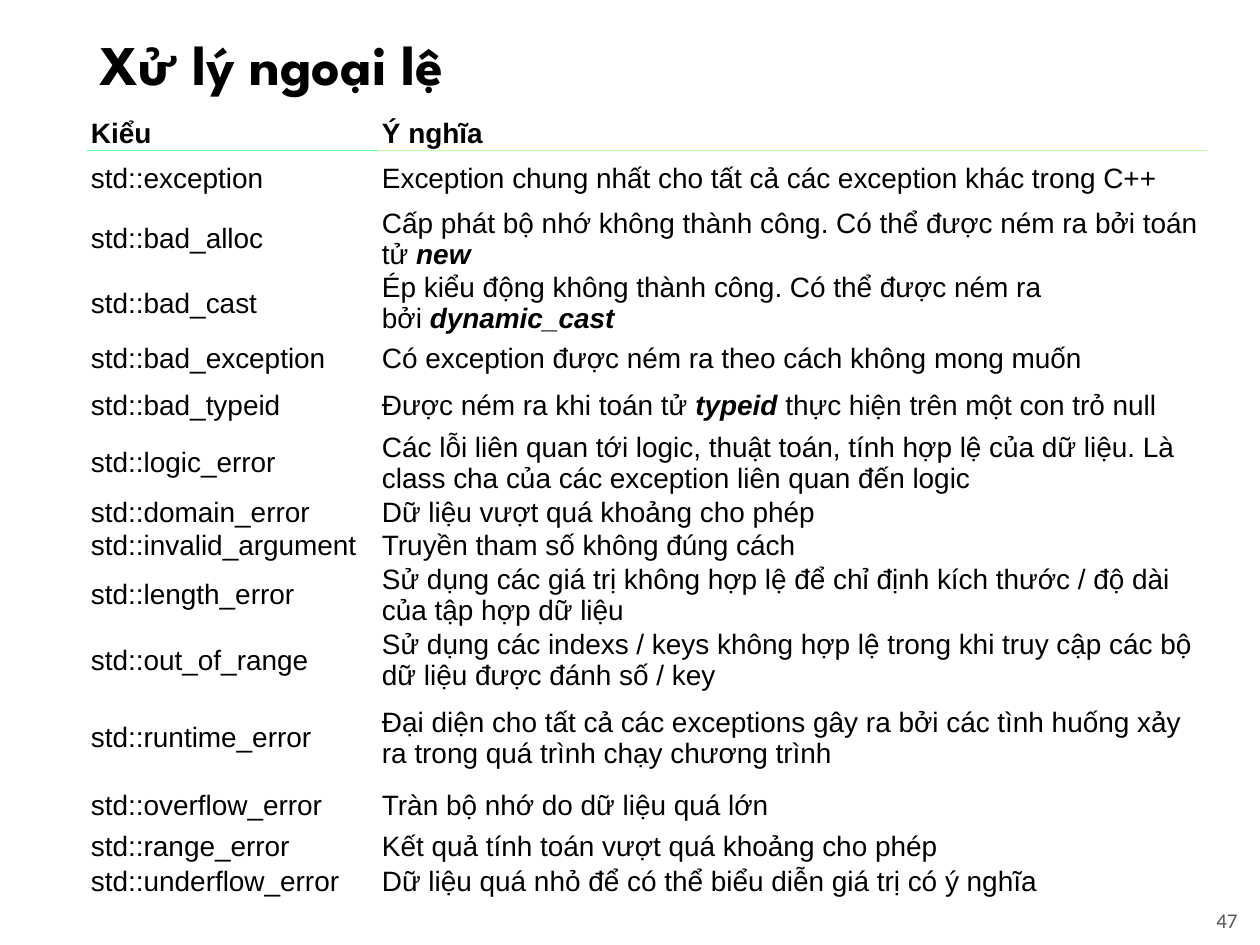
from lxml.etree import SubElement
from pptx import Presentation
from pptx.dml.color import RGBColor
from pptx.enum.text import MSO_ANCHOR, MSO_AUTO_SIZE, PP_ALIGN
from pptx.oxml.ns import qn
from pptx.util import Emu, Pt

# Content: a tuple holds text before, emphasised term, text after
TITLE = "Xử lý ngoại lệ"
PAGE = "47"
HEADER = ("Kiểu", "Ý nghĩa")
EXCEPTIONS = [
    ("std::exception", "Exception chung nhất cho tất cả các exception khác trong C++"),
    ("std::bad_alloc",
     ("Cấp phát bộ nhớ không thành công. Có thể được ném ra bởi toán tử", "new", "")),
    ("std::bad_cast",
     ("Ép kiểu động không thành công. Có thể được ném ra bởi", "dynamic_cast", "")),
    ("std::bad_exception", "Có exception được ném ra theo cách không mong muốn"),
    ("std::bad_typeid",
     ("Được ném ra khi toán tử", "typeid", "thực hiện trên một con trỏ null")),
    ("std::logic_error",
     "Các lỗi liên quan tới logic, thuật toán, tính hợp lệ của dữ liệu. "
     "Là class cha của các exception liên quan đến logic"),
    ("std::domain_error", "Dữ liệu vượt quá khoảng cho phép"),
    ("std::invalid_argument", "Truyền tham số không đúng cách"),
    ("std::length_error",
     "Sử dụng các giá trị không hợp lệ để chỉ định kích thước / độ dài của tập hợp dữ liệu"),
    ("std::out_of_range",
     "Sử dụng các indexs / keys không hợp lệ trong khi truy cập các bộ dữ liệu "
     "được đánh số / key"),
    ("std::runtime_error",
     "Đại diện cho tất cả các exceptions gây ra bởi các tình huống xảy ra "
     "trong quá trình chạy chương trình"),
    ("std::overflow_error", "Tràn bộ nhớ do dữ liệu quá lớn"),
    ("std::range_error", "Kết quả tính toán vượt quá khoảng cho phép"),
    ("std::underflow_error", "Dữ liệu quá nhỏ để có thể biểu diễn giá trị có ý nghĩa"),
]

THEME = {
    "title": ("League Spartan", 32, "000000"),
    "table": ("Arial", 16, "000000"),
    "page": ("Calibri", 12, "595959"),
    "cell": "FFFFFF",
    "rules": ("60FF9E", "C0FF9E"),
}

# Layout in px, 126 to the inch
PX = 914400 // 126
SLIDE = (1260, 945)
TITLE_BOX = (87, 16, 1086, 102)
TABLE_AT = (87, 117)
COLS = (291, 829)
ROWS = (25, 57, 47, 47, 47, 47, 67, 25, 25, 57, 67, 88, 47, 35, 35)
PAGE_BOX = (1092, 895, 158, 50)
NBSP = chr(160)  # keeps an emphasised term on the line of the word before it


def px(*values):
    return [Emu(v * PX) for v in values]


def style(p, role, bold=False):
    name, size, color = THEME[role]
    p.font.name, p.font.size, p.font.bold = name, Pt(size), bold
    p.font.color.rgb = RGBColor.from_string(color)


def set_borders(cell, top=None, bottom=None):
    tcPr = cell._tc.get_or_add_tcPr()
    for side, color in (("L", None), ("R", None), ("T", top), ("B", bottom)):
        ln = SubElement(tcPr, qn("a:ln" + side), w=str(Pt(0.75)))
        if color:
            SubElement(SubElement(ln, qn("a:solidFill")), qn("a:srgbClr"), val=color)
        else:
            SubElement(ln, qn("a:noFill"))


def write_cell(cell, content, bold):
    cell.vertical_anchor = MSO_ANCHOR.MIDDLE
    cell.margin_left, cell.margin_right, cell.margin_top, cell.margin_bottom = px(4, 4, 1, 1)
    cell.fill.solid()
    cell.fill.fore_color.rgb = RGBColor.from_string(THEME["cell"])
    p = cell.text_frame.paragraphs[0]
    style(p, "table", bold)
    if isinstance(content, str):
        p.add_run().text = content
        return
    before, term, after = content
    p.add_run().text = before + NBSP
    r = p.add_run()
    r.text = term + (NBSP if after else "")
    r.font.bold = r.font.italic = True
    if after:
        p.add_run().text = after


prs = Presentation()
prs.slide_width, prs.slide_height = px(*SLIDE)
s = prs.slides.add_slide(prs.slide_layouts[5])

# Title
title = s.shapes.title
title.left, title.top, title.width, title.height = px(*TITLE_BOX)
tf = title.text_frame
tf.text = TITLE
tf.auto_size = MSO_AUTO_SIZE.NONE
tf.vertical_anchor = MSO_ANCHOR.MIDDLE
p = tf.paragraphs[0]
p.alignment, p.line_spacing = PP_ALIGN.LEFT, 0.9
style(p, "title", bold=True)

# Table of exception types, with a coloured rule under the header
rows = [HEADER] + EXCEPTIONS
table = s.shapes.add_table(
    len(rows), len(COLS), *px(*TABLE_AT, sum(COLS), sum(ROWS))).table
table.first_row = table.horz_banding = False
for col, width in zip(table.columns, px(*COLS)):
    col.width = width
for row, height in zip(table.rows, px(*ROWS)):
    row.height = height
for i, row in enumerate(rows):
    for j, (content, rule) in enumerate(zip(row, THEME["rules"])):
        cell = table.cell(i, j)
        set_borders(cell, top=rule if i == 1 else None, bottom=rule if i == 0 else None)
        write_cell(cell, content, bold=i == 0)

# Page number
tf = s.shapes.add_textbox(*px(*PAGE_BOX)).text_frame
tf.word_wrap = True
tf.vertical_anchor = MSO_ANCHOR.MIDDLE
p = tf.paragraphs[0]
p.text = PAGE
p.alignment = PP_ALIGN.RIGHT
style(p, "page")

prs.save("out.pptx")
